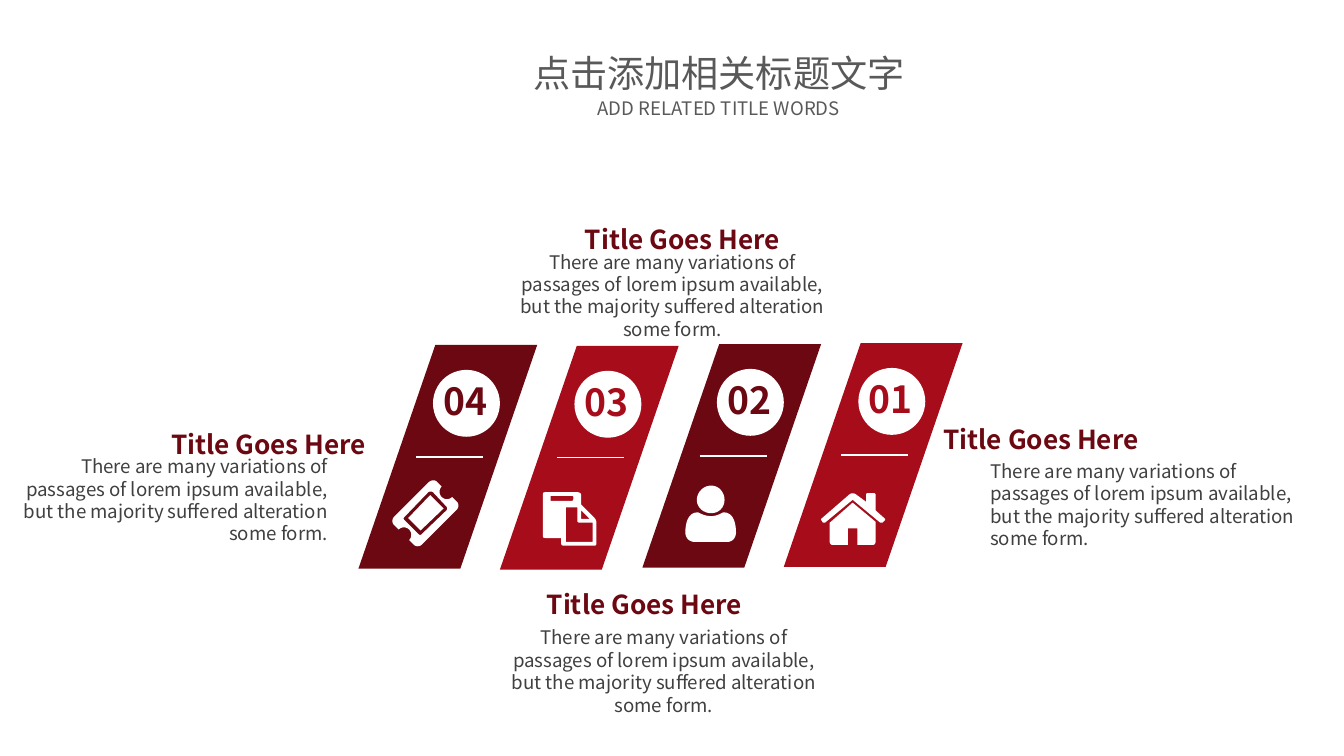
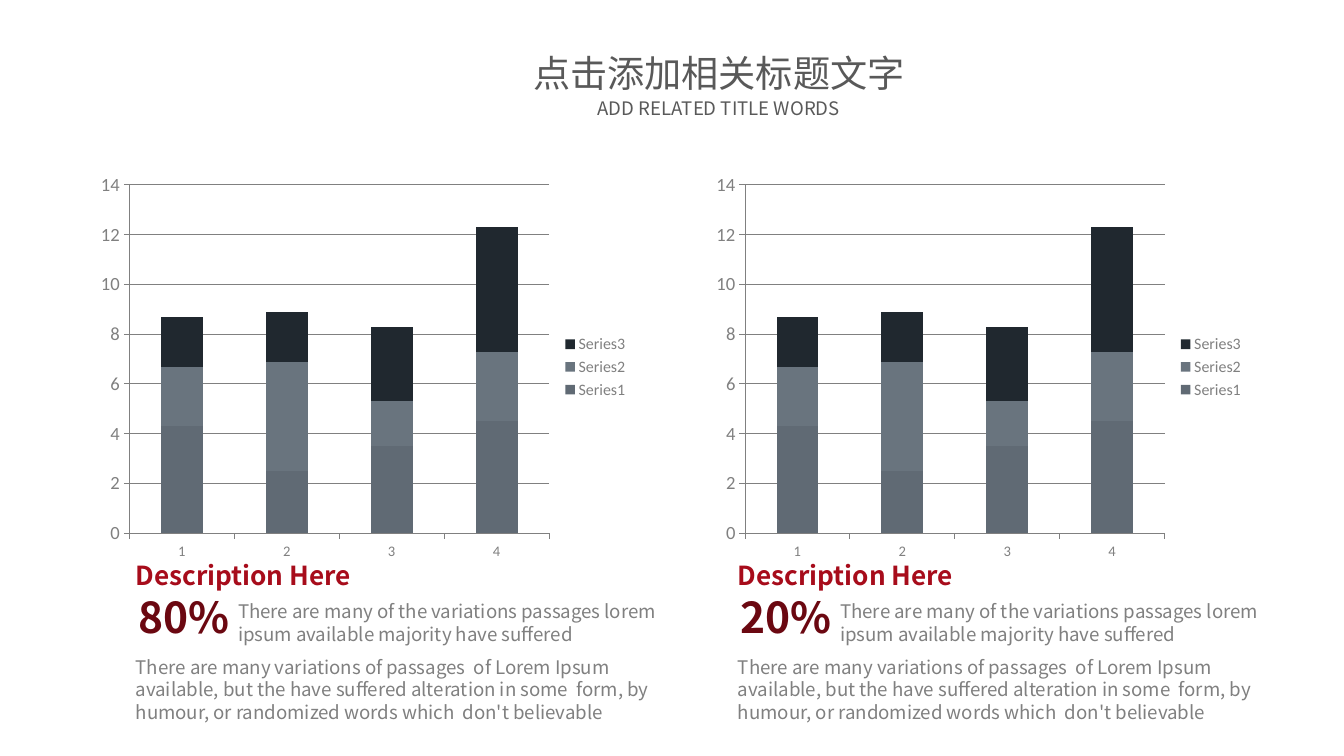
from lxml.etree import SubElement
from pptx import Presentation
from pptx.chart.data import CategoryChartData
from pptx.dml.color import RGBColor
from pptx.enum.chart import XL_CHART_TYPE as ChartType, XL_LEGEND_POSITION as LegendPos
from pptx.enum.chart import XL_TICK_MARK as Tick
from pptx.enum.shapes import MSO_CONNECTOR as Connector, MSO_SHAPE as Shape
from pptx.enum.text import MSO_ANCHOR as Anchor, PP_ALIGN as Align
from pptx.oxml.ns import qn
from pptx.util import Emu, Pt

# Shared style: 100 px to the inch
PX = 9144
SLIDE_SIZE = 1406, 791
FONT, CHART_FONT = "Noto Sans CJK SC", "Calibri"
DARK_RED = RGBColor(0x6B, 0x08, 0x11)
RED = RGBColor(0xA7, 0x0C, 0x1B)
WHITE = RGBColor(0xFF, 0xFF, 0xFF)
TITLE_GRAY = RGBColor(0x59, 0x59, 0x59)
TEXT_GRAY = RGBColor(0x40, 0x40, 0x40)
GRAY = RGBColor(0x80, 0x80, 0x80)
SLATES = RGBColor(0x60, 0x6A, 0x74), RGBColor(0x69, 0x74, 0x7E), RGBColor(0x20, 0x28, 0x2F)

# Headings: text, area, size
HEADINGS = [
    ("点击添加相关标题文字", (545, 48, 414, 58), 28),
    ("ADD RELATED TITLE WORDS", (601, 97, 302, 34), 14),
]

# Slide 1: captions as title corner, body corner, body alignment
CAPTION_TITLE = "Title Goes Here"
CAPTION_BODY = ("There are many variations of passages of lorem ipsum available, "
                "but the majority suffered alteration some form.")
CAPTIONS = [
    ((179, 448), (18, 476), Align.RIGHT),
    ((572, 616), (532, 655), Align.CENTER),
    ((612, 234), (541, 262), Align.CENTER),
    ((987, 443), (1036, 481), Align.LEFT),
]

# Icon outlines: a pair is a corner, six numbers are a Bezier curve
TICKET = [
    [(31, 68), (29, 70, 25, 70, 23, 68), (18, 63), (21, 60, 21, 55, 18, 52),
     (15, 49, 10, 49, 7, 52), (2, 47), (0, 45, 0, 41, 2, 39), (39, 2),
     (42, 0, 45, 0, 47, 2), (52, 7), (49, 10, 49, 15, 52, 18),
     (55, 21, 60, 21, 63, 18), (68, 23), (70, 25, 70, 29, 68, 31)],
    [(57, 32), (58, 31, 58, 29, 57, 28), (43, 13), (42, 12, 39, 12, 38, 13),
     (13, 39), (12, 40, 12, 41, 13, 42), (28, 57), (29, 58, 30, 58, 31, 57)],
    [(54, 30), (30, 53), (17, 40), (40, 16)],
]
DOCUMENTS = [
    [(56, 53), (56, 56, 55, 56, 53, 56), (22, 56), (21, 56, 19, 56, 19, 53),
     (19, 48), (3, 48), (0, 48, 0, 47, 0, 45), (0, 3), (0, 1, 0, 0, 3, 0),
     (36, 0), (38, 0, 40, 1, 40, 3), (40, 13), (41, 14), (54, 27),
     (55, 28, 56, 30, 56, 32)],
    [(32, 5), (31, 4), (8, 4), (8, 9), (31, 9), (32, 7)],
    [(52, 52), (52, 32), (39, 32), (37, 32, 36, 31, 36, 30), (36, 16), (24, 16), (24, 52)],
    [(49, 28), (40, 19), (40, 28)],
]
PERSON = [
    [(44, 59), (10, 59), (4, 59, 0, 55, 0, 49), (0, 41, 2, 28, 13, 28),
     (14, 28, 19, 32, 27, 32), (34, 32, 39, 28, 40, 28), (51, 28, 53, 41, 53, 49),
     (53, 55, 49, 59, 44, 59)],
    [(27, 29), (19, 29, 12, 23, 12, 15), (12, 7, 19, 0, 27, 0), (35, 0, 41, 7, 41, 15),
     (41, 23, 35, 29, 27, 29)],
]
HOUSE = [
    [(64, 31), (62, 31), (33, 7), (4, 31), (2, 31), (0, 28), (0, 27), (30, 1),
     (31, 0, 35, 0, 36, 1), (47, 9), (47, 1), (48, 0), (56, 0), (57, 1), (57, 18),
     (67, 27), (67, 28)],
    [(57, 51), (57, 52, 56, 54, 55, 54), (38, 54), (38, 37), (28, 37), (28, 54),
     (11, 54), (10, 54, 9, 52, 9, 51), (9, 31), (33, 10), (57, 30)],
]

# Bars: number, corner, colour, icon, icon offset
BARS = [
    ("04", (375, 361), DARK_RED, TICKET, (35, 141)),
    ("03", (523, 362), RED, DOCUMENTS, (45, 153)),
    ("02", (672, 360), DARK_RED, PERSON, (45, 148)),
    ("01", (820, 359), RED, HOUSE, (39, 157)),
]

# Slide 2: chart left, text left, share
PANELS = [(94, 142, "80%"), (738, 772, "20%")]
PANEL_TITLE = "Description Here"
PANEL_LEAD = ("There are many of the variations passages lorem ipsum available "
              "majority have suffered")
PANEL_BODY = ("There are many variations of passages  of Lorem Ipsum available, but the have "
              "suffered alteration in some  form, by humour, or randomized words which  "
              "don't believable")
CATEGORIES = ["1", "2", "3", "4"]
SERIES = [
    ("Series1", (4.3, 2.5, 3.5, 4.5)),
    ("Series2", (2.4, 4.4, 1.8, 2.8)),
    ("Series3", (2, 2, 3, 5)),
]


def emu(*lengths):
    return [Emu(round(length * PX)) for length in lengths]


def add_text(page, text, area, size, color, bold=False, align=Align.LEFT,
             wrap=True, inset=(0, 0), anchor=Anchor.TOP):
    frame = page.shapes.add_textbox(*emu(*area)).text_frame
    frame.word_wrap = wrap
    frame.vertical_anchor = anchor
    frame.margin_left, frame.margin_top = emu(*inset)
    frame.margin_right, frame.margin_bottom = emu(*inset)
    para = frame.paragraphs[0]
    para.text = text
    para.alignment = align
    font = para.font
    font.name, font.size, font.bold = FONT, Pt(size), bold
    font.color.rgb = color
    SubElement(para._p.pPr.find(qn("a:defRPr")), qn("a:ea"), typeface=FONT)


def paint(shape, color):
    shape.shadow.inherit = False
    shape.fill.solid()
    shape.fill.fore_color.rgb = color
    shape.line.fill.background()


def add_shape(page, kind, area, color):
    shape = page.shapes.add_shape(kind, *emu(*area))
    paint(shape, color)
    return shape


def flatten(outline, steps=8):
    """Turn corners and Bezier curves into plain points."""
    points = [outline[0]]
    for part in outline[1:]:
        if len(part) == 2:
            points.append(part)
            continue
        start, first, second, end = points[-1], part[:2], part[2:4], part[4:]
        for step in range(1, steps + 1):
            t = step / steps
            weights = (1 - t) ** 3, 3 * t * (1 - t) ** 2, 3 * t * t * (1 - t), t ** 3
            points.append(tuple(sum(w * value for w, value in zip(weights, values))
                                for values in zip(start, first, second, end)))
    return points


def add_icon(page, outlines, left, top):
    builder = None
    for outline in outlines:
        first, *rest = [emu(left + x, top + y) for x, y in flatten(outline)]
        if builder is None:
            builder = page.shapes.build_freeform(*first)
        else:
            builder.move_to(*first)
        builder.add_line_segments(rest, close=True)
    paint(builder.convert_to_shape(), WHITE)


def add_bar(page, number, corner, color, icon, icon_offset):
    left, top = corner
    bar = add_shape(page, Shape.PARALLELOGRAM, (left, top, 187, 234), color)
    bar.adjustments[0] = 0.43
    rule = page.shapes.add_connector(
        Connector.STRAIGHT, *emu(left + 60, top + 117, left + 130, top + 117))
    rule.line.color.rgb, rule.line.width = WHITE, Pt(1)
    SubElement(rule._element.spPr, qn("a:effectLst"))
    add_shape(page, Shape.OVAL, (left + 78, top + 26, 70, 70), WHITE)
    add_text(page, number, (left + 79, top + 30, 69, 57), 28.1, color, bold=True,
             wrap=False, inset=(10, 5))
    add_icon(page, icon, left + icon_offset[0], top + icon_offset[1])


def style_font(font, size):
    font.name, font.size, font.color.rgb = CHART_FONT, Pt(size), GRAY


def add_stacked_chart(page, left):
    data = CategoryChartData()
    data.categories = CATEGORIES
    for name, values in SERIES:
        data.add_series(name, values)
    chart = page.shapes.add_chart(
        ChartType.COLUMN_STACKED, *emu(left, 173, 574, 422), data).chart
    chart.has_title = False
    chart.has_legend = True
    chart.legend.position = LegendPos.RIGHT
    chart.legend.include_in_layout = False
    style_font(chart.legend.font, 12)
    for axis, size in ((chart.category_axis, 11), (chart.value_axis, 14)):
        style_font(axis.tick_labels.font, size)
        axis.major_tick_mark = Tick.OUTSIDE
        axis.format.line.color.rgb = GRAY
    grid = chart.value_axis.major_gridlines.format.line
    grid.color.rgb, grid.width = GRAY, Pt(0.75)
    plot = chart.plots[0]
    plot.gap_width, plot.overlap, plot.vary_by_categories = 150, 100, False
    for series, color in zip(plot.series, SLATES):
        series.format.fill.solid()
        series.format.fill.fore_color.rgb = color


def add_panel(page, chart_left, left, share):
    add_stacked_chart(page, chart_left)
    add_text(page, PANEL_TITLE, (left, 585, 237, 33), 19.7, RED, bold=True)
    add_text(page, share, (left + 3, 618, 97, 54), 32, DARK_RED, bold=True, wrap=False)
    add_text(page, PANEL_LEAD, (left + 107, 628, 463, 47), 14.1, GRAY)
    add_text(page, PANEL_BODY, (left, 686, 539, 71), 14.1, GRAY)


def add_page(deck):
    page = deck.slides.add_slide(deck.slide_layouts[6])
    for text, area, size in HEADINGS:
        add_text(page, text, area, size, TITLE_GRAY, align=Align.CENTER,
                 wrap=False, inset=(11, 5))
    return page


def main():
    deck = Presentation()
    deck.slide_width, deck.slide_height = emu(*SLIDE_SIZE)

    # Slide 1: four numbered bars with captions
    page = add_page(deck)
    for title_corner, body_corner, align in CAPTIONS:
        add_text(page, CAPTION_TITLE, (*title_corner, 214, 33), 19.7, DARK_RED,
                 bold=True, wrap=False, anchor=Anchor.MIDDLE)
        add_text(page, CAPTION_BODY, (*body_corner, 325, 95), 14.1, TEXT_GRAY, align=align)
    for bar in BARS:
        add_bar(page, *bar)

    # Slide 2: two charts with descriptions
    page = add_page(deck)
    for panel in PANELS:
        add_panel(page, *panel)

    deck.save("out.pptx")


if __name__ == "__main__":
    main()
